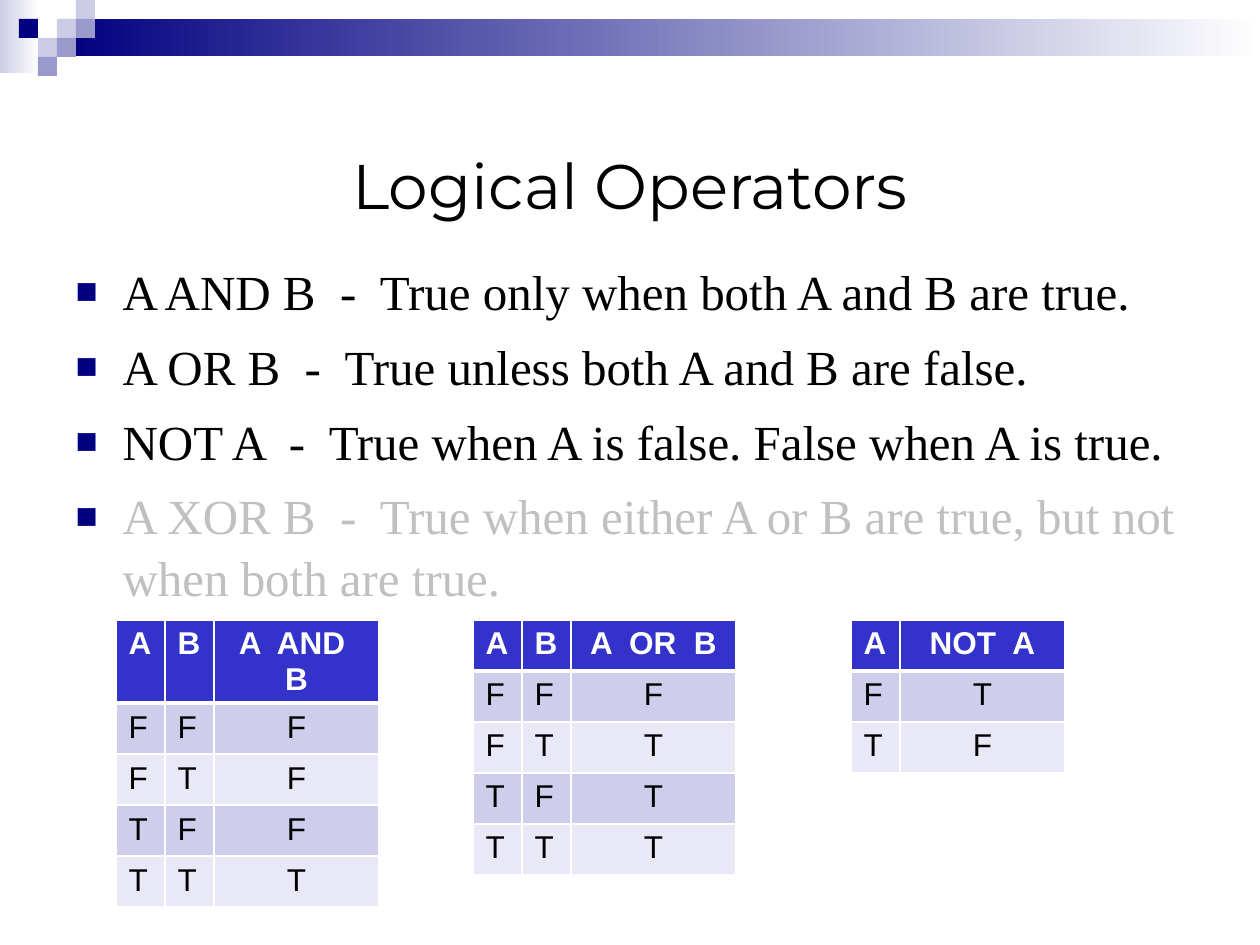
from dataclasses import dataclass

from lxml import etree
from pptx import Presentation
from pptx import util as u
from pptx.dml.color import RGBColor
from pptx.enum import shapes, text
from pptx.oxml import ns

SCALE = 914400 / 126  # EMU per px


@dataclass(frozen=True)
class Theme:
    navy: str = "000080"
    lilac: str = "CCCCE6"
    mauve: str = "9999CC"
    head: str = "3333CC"
    bands: tuple = ("CECEEC", "E8E8F6")
    white: str = "FFFFFF"
    ink: str = "000000"
    faded: str = "C0C0C0"
    title: tuple = ("Montserrat", 36)
    body: tuple = ("Times New Roman", 28)
    cell: tuple = ("Arial", 18)


def px(n):
    return u.Emu(round(n * SCALE))


def rgb(code):
    return RGBColor.from_string(code)


def sub(node, tag, **attrs):
    return etree.SubElement(node, ns.qn(tag), attrs)


class Deck:
    def __init__(self, theme):
        self.theme = theme
        self.prs = Presentation()
        self.prs.slide_width, self.prs.slide_height = px(1260), px(945)
        self.slide = self.prs.slides.add_slide(self.prs.slide_layouts[1])

    def style(self, par, face, color, bold=False):
        font = par.font
        font.name, size = face
        font.size, font.bold = u.Pt(size), bold
        font.color.rgb = rgb(color)

    def rect(self, x, y, w, h, color, fade=False):
        box = self.slide.shapes.add_shape(
            shapes.MSO_SHAPE.RECTANGLE, px(x), px(y), px(w), px(h))
        box.shadow.inherit = False
        box.line.fill.background()
        if fade:
            box.fill.gradient()
            box.fill.gradient_angle = 0
            for stop, tone in zip(box.fill.gradient_stops,
                                  (color, self.theme.white)):
                stop.color.rgb = rgb(tone)
        else:
            box.fill.solid()
            box.fill.fore_color.rgb = rgb(color)

    def place(self, holder, x, y, w, h):
        holder.left, holder.top = px(x), px(y)
        holder.width, holder.height = px(w), px(h)
        frame = holder.text_frame
        frame.word_wrap = True
        frame.auto_size = text.MSO_AUTO_SIZE.NONE
        return frame

    def title(self, words, *area):
        frame = self.place(self.slide.shapes.title, *area)
        frame.vertical_anchor = text.MSO_ANCHOR.MIDDLE
        frame.text = words
        par = frame.paragraphs[0]
        par.alignment = text.PP_ALIGN.CENTER
        self.style(par, self.theme.title, self.theme.ink)

    def bullets(self, items, *area):
        frame = self.place(self.slide.placeholders[1], *area)
        frame.text = "\n".join(words for words, _ in items)
        for par, (_, color) in zip(frame.paragraphs, items):
            par.space_before = u.Pt(7.5)
            par.line_spacing = 1.05
            self.style(par, self.theme.body, color)
            props = par._p.get_or_add_pPr()
            props.set("marL", str(px(47)))
            props.set("indent", str(px(-47)))
            tint = etree.Element(ns.qn("a:buClr"))
            sub(tint, "a:srgbClr", val=self.theme.navy)
            size = etree.Element(ns.qn("a:buSzPct"), val="75000")
            mark = etree.Element(ns.qn("a:buChar"), char="■")
            # Bullet settings go between spacing and font defaults
            run = props.find(ns.qn("a:defRPr"))
            for node in (tint, size, mark):
                run.addprevious(node)

    def border(self, cell, base):
        props = cell._tc.get_or_add_tcPr()
        for side in "LRTB":
            width = u.Pt(base if side == "B" else 1)
            line = sub(props, f"a:ln{side}", w=str(width))
            sub(sub(line, "a:solidFill"), "a:srgbClr", val=self.theme.white)

    def table(self, x, y, rows, narrow=49, wide=165, high=51):
        last = len(rows[0]) - 1
        grid = self.slide.shapes.add_table(
            len(rows), last + 1, px(x), px(y),
            px(narrow * last + wide), px(high * len(rows))).table
        for c, col in enumerate(grid.columns):
            col.width = px(wide if c == last else narrow)
        for r, row in enumerate(rows):
            grid.rows[r].height = px(high)
            for c, words in enumerate(row):
                self.cell(grid.cell(r, c), words, r, c == last)

    def cell(self, cell, words, r, center):
        theme, top = self.theme, r == 0
        self.border(cell, 3 if top else 1)
        cell.fill.solid()
        cell.fill.fore_color.rgb = rgb(
            theme.head if top else theme.bands[(r - 1) % 2])
        cell.text = words
        par = cell.text_frame.paragraphs[0]
        if center:
            par.alignment = text.PP_ALIGN.CENTER
        self.style(par, theme.cell, theme.white if top else theme.ink, top)


def main():
    theme = Theme()
    deck = Deck(theme)

    # Banner: two fading bars, then squares on a 19 px grid
    deck.rect(0, 0, 39, 73, theme.lilac, fade=True)
    deck.rect(57, 19, 1203, 37, theme.navy, fade=True)
    unit = 19
    for col, row, color in (
            (3, 1, theme.lilac), (4, 0, theme.lilac), (4, 1, theme.mauve),
            (2, 2, theme.lilac), (1, 1, theme.navy), (3, 2, theme.mauve),
            (2, 3, theme.mauve)):
        deck.rect(col * unit, row * unit, unit, unit, color)

    # Title and definitions
    deck.title("Logical Operators", 63, 105, 1134, 158)
    deck.bullets((
        ("A AND B  -  True only when both A and B are true.", theme.ink),
        ("A OR B  -  True unless both A and B are false.", theme.ink),
        ("NOT A  -  True when A is false. False when A is true.", theme.ink),
        ("A XOR B  -  True when either A or B are true, but not when both "
         "are true.", theme.faded),
    ), 63, 252, 1134, 536)

    # Truth tables
    pairs = ("FF", "FT", "TF", "TT")
    for x, name, result in ((116, "A  AND  B", "FFFT"),
                            (473, "A  OR  B", "FTTT")):
        rows = [(*pair, out) for pair, out in zip(pairs, result)]
        deck.table(x, 620, [("A", "B", name), *rows])
    deck.table(851, 620, [("A", "NOT  A"), "FT", "TF"])

    deck.prs.save("out.pptx")


if __name__ == "__main__":
    main()
